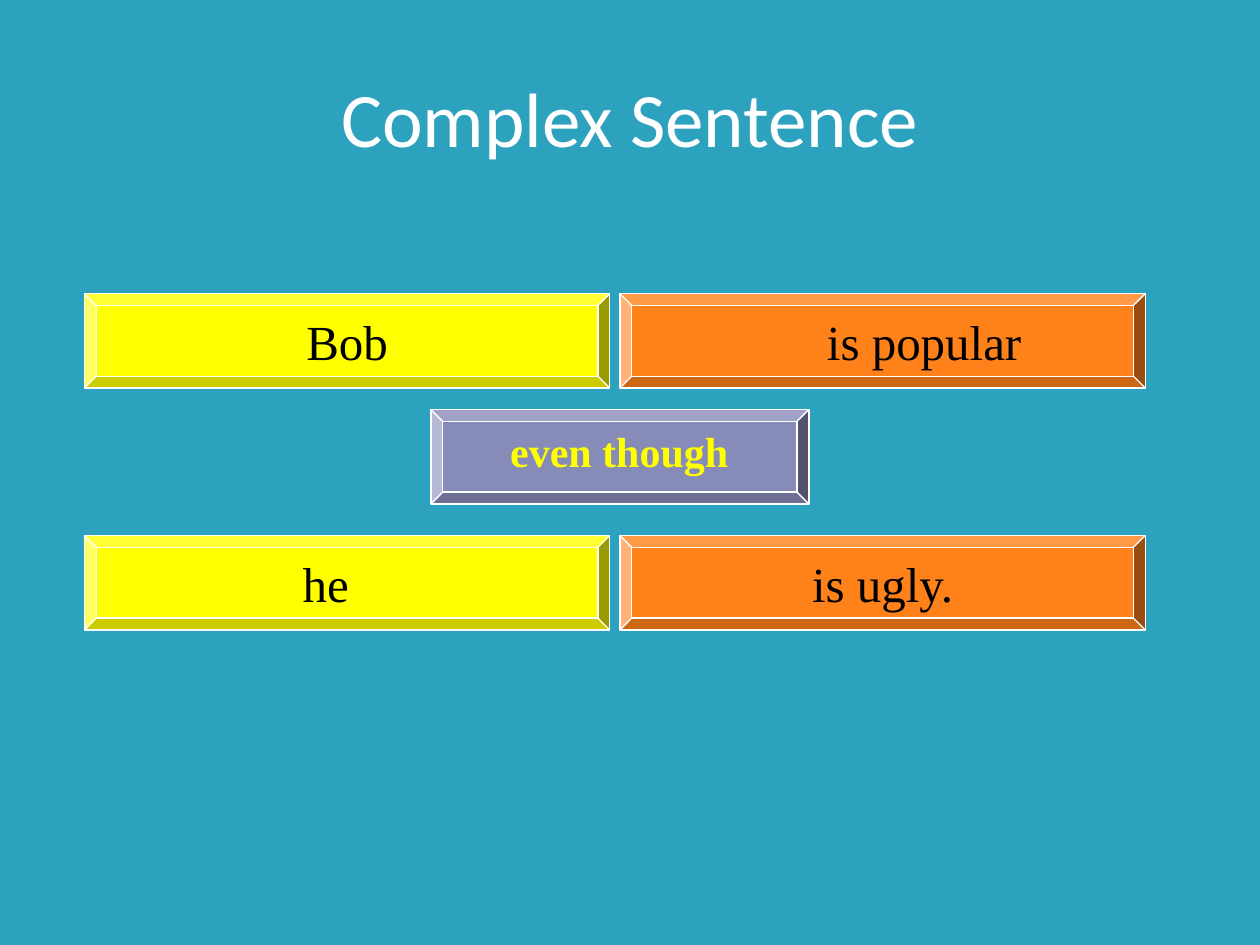
from pptx import Presentation
from pptx.dml.color import RGBColor
from pptx.enum.shapes import MSO_SHAPE
from pptx.enum.text import MSO_ANCHOR, PP_ALIGN
from pptx.util import Inches, Pt

COLORS = {
    "background": "2DA2BF",
    "subject": "FFFF00",
    "predicate": "FF8119",
    "conjunction": "878BB8",
    "white": "FFFFFF",
    "black": "000000",
    "yellow": "FFFF00",
}
TITLE = "Complex Sentence"
# top, then (text, left of its text box) for subject and predicate
CLAUSES = [
    (2.33, ("Bob", 0.92), ("is popular", 5.5)),
    (4.25, ("he", 0.75), ("is ugly.", 5.17)),
]
CONJUNCTION = "even though"

BLOCK_LEFT = {"subject": 0.67, "predicate": 4.92}
BLOCK_W, BLOCK_H = 4.17, 0.75
LABEL_W, LABEL_H, LABEL_DROP = 3.67, 0.57, 0.09
SERIF = "Times New Roman"


def rgb(name):
    return RGBColor.from_string(COLORS[name])


def add_block(s, left, top, width, role):
    sp = s.shapes.add_shape(MSO_SHAPE.BEVEL, Inches(left), Inches(top),
                            Inches(width), Inches(BLOCK_H))
    sp.shadow.inherit = False
    sp.adjustments[0] = 0.125
    sp.fill.solid()
    sp.fill.fore_color.rgb = rgb(role)
    sp.line.color.rgb = rgb("white")
    sp.line.width = Pt(0.75)


def add_label(s, text, box, size, color, font=SERIF, bold=False,
              anchor=MSO_ANCHOR.TOP):
    tf = s.shapes.add_textbox(*map(Inches, box)).text_frame
    tf.word_wrap = True
    tf.vertical_anchor = anchor
    p = tf.paragraphs[0]
    p.text = text
    p.alignment = PP_ALIGN.CENTER
    p.font.name = font
    p.font.size = Pt(size)
    p.font.bold = bold
    p.font.color.rgb = rgb(color)


prs = Presentation()
prs.slide_width, prs.slide_height = Inches(10), Inches(7.5)
s = prs.slides.add_slide(prs.slide_layouts[6])
s.background.fill.solid()
s.background.fill.fore_color.rgb = rgb("background")

add_label(s, TITLE, (0.5, 0.3, 9, 1.25), 44, "white", font="Calibri",
          anchor=MSO_ANCHOR.MIDDLE)

for top, *parts in CLAUSES:
    for (role, left), (text, text_left) in zip(BLOCK_LEFT.items(), parts):
        add_block(s, left, top, BLOCK_W, role)
        add_label(s, text, (text_left, top + LABEL_DROP, LABEL_W, LABEL_H),
                  28, "black")

add_block(s, 3.42, 3.25, 3, "conjunction")
add_label(s, CONJUNCTION, (3.5, 3.33, 2.83, 0.5), 24, "yellow", bold=True)

prs.save("out.pptx")
